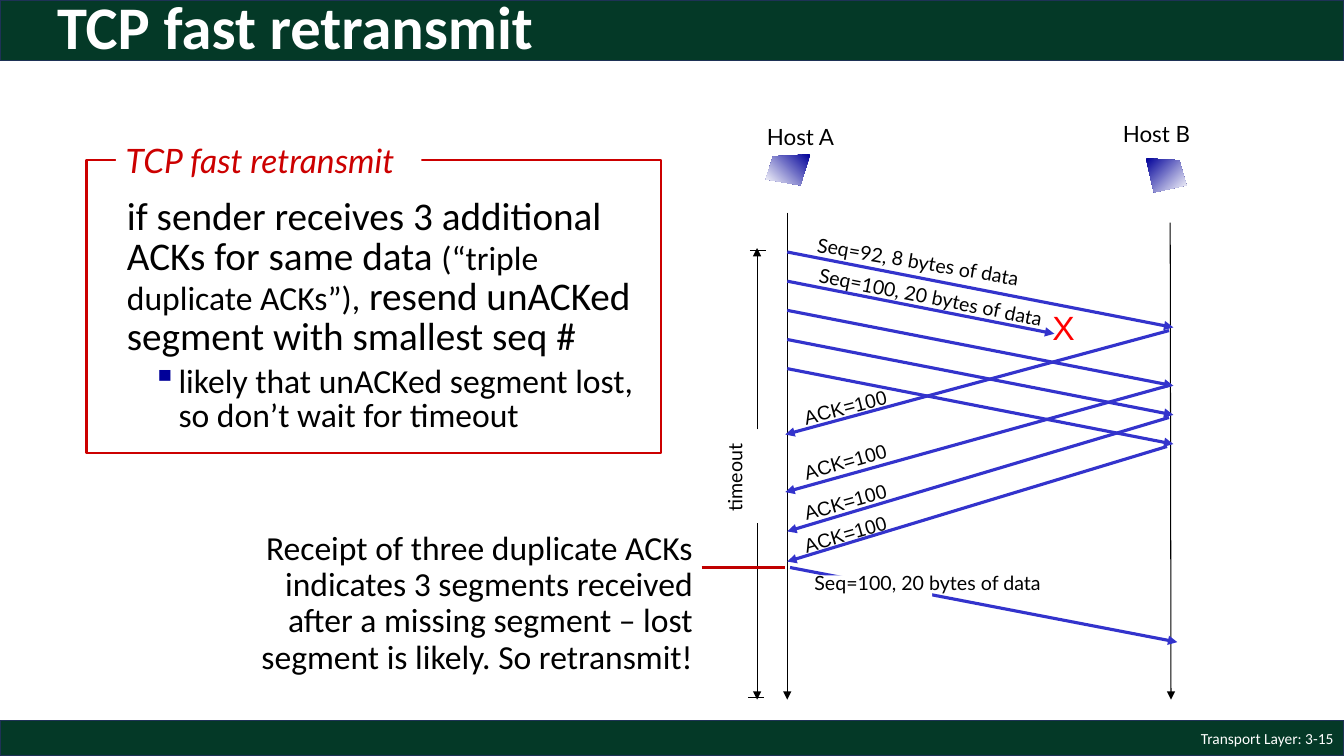
from dataclasses import dataclass, field
from typing import Optional

from lxml.etree import SubElement
from pptx import Presentation
from pptx.dml.color import RGBColor
from pptx.enum.shapes import MSO_CONNECTOR, MSO_SHAPE
from pptx.enum.text import MSO_ANCHOR, PP_ALIGN
from pptx.oxml.ns import qn
from pptx.util import Cm, Pt

COLORS = {
    "green": "043927", "navy": "1E3256", "white": "FFFFFF", "black": "000000",
    "arrow": "3333CC", "host": "000099", "lost": "FF0000",
    "frame": "CC0000", "pointer": "C00000",
}
HOST_A, HOST_B = 19.84, 29.57
AXIS_END = 17.63
TIMEOUT_X = 19.08


@dataclass
class Block:
    box: tuple
    fill: Optional[str] = None
    line: Optional[str] = None
    width: float = 1


@dataclass
class Line:
    start: tuple
    end: tuple
    color: str = "black"
    width: float = 0.75
    arrow: bool = True


@dataclass
class Label:
    text: str
    box: tuple
    color: str = "black"
    rotation: float = 0
    align: PP_ALIGN = PP_ALIGN.CENTER
    anchor: MSO_ANCHOR = MSO_ANCHOR.TOP
    spacing: float = 1
    font: dict = field(default_factory=dict)


@dataclass
class Host:
    corners: tuple
    angle: float


def rgb(name: str) -> RGBColor:
    return RGBColor.from_string(COLORS[name])


def style(font, color: str, values: dict) -> None:
    for key, value in values.items():
        setattr(font, key, value)
    font.color.rgb = rgb(color)


def draw_block(s, block: Block):
    sp = s.shapes.add_shape(MSO_SHAPE.RECTANGLE, *map(Cm, block.box))
    sp.shadow.inherit = False
    if block.fill:
        sp.fill.solid()
        sp.fill.fore_color.rgb = rgb(block.fill)
    else:
        sp.fill.background()
    if block.line:
        sp.line.color.rgb = rgb(block.line)
        sp.line.width = Pt(block.width)
    else:
        sp.line.fill.background()
    return sp


def draw_line(s, line: Line) -> None:
    cn = s.shapes.add_connector(
        MSO_CONNECTOR.STRAIGHT, *map(Cm, line.start + line.end))
    cn.line.color.rgb = rgb(line.color)
    cn.line.width = Pt(line.width)
    if line.arrow:
        SubElement(cn.line._get_or_add_ln(), qn("a:tailEnd"), type="triangle")
    SubElement(cn._element.spPr, qn("a:effectLst"))


def draw_label(s, label: Label) -> None:
    tb = s.shapes.add_textbox(*map(Cm, label.box))
    tb.rotation = label.rotation
    tf = tb.text_frame
    tf.word_wrap = True
    tf.vertical_anchor = label.anchor
    p = tf.paragraphs[0]
    p.alignment = label.align
    p.line_spacing = label.spacing
    r = p.add_run()
    r.text = label.text
    style(r.font, label.color, {"name": "Lato", "size": Pt(14)} | label.font)


def draw_host(s, host: Host) -> None:
    points = [(Cm(x), Cm(y)) for x, y in host.corners]
    builder = s.shapes.build_freeform(*points[0])
    builder.add_line_segments(points[1:], close=True)
    sp = builder.convert_to_shape()
    sp.shadow.inherit = False
    sp.line.fill.background()
    sp.fill.gradient()
    sp.fill.gradient_angle = host.angle
    for stop, color, position in zip(
            sp.fill.gradient_stops, ("host", "white"), (0, 1)):
        stop.color.rgb = rgb(color)
        stop.position = position


def draw_rule(s) -> None:
    sp = draw_block(s, Block((2.95, 4.88, 13.36, 6.3), "white"))
    tf = sp.text_frame
    tf.word_wrap = True
    tf.vertical_anchor = MSO_ANCHOR.TOP
    paragraphs = (
        (("if sender receives 3 additional ACKs for same data ", 28),
         ("(“triple duplicate ACKs”),", 24),
         (" resend unACKed segment with smallest seq #", 28)),
        (("likely that unACKed segment lost, so don’t wait for timeout", 24),),
    )
    for level, runs in enumerate(paragraphs):
        p = tf.add_paragraph() if level else tf.paragraphs[0]
        p.alignment = PP_ALIGN.LEFT
        p.line_spacing = 0.85
        if level:
            p.level = level
            p.space_before = Pt(5)
            pPr = p._p.get_or_add_pPr()
            pPr.set("marL", str(Cm(1.3)))
            pPr.set("indent", str(Cm(-0.66)))
            color = SubElement(pPr, qn("a:buClr"))
            SubElement(color, qn("a:srgbClr"), val=COLORS["host"])
            SubElement(pPr, qn("a:buChar"), char="▪")
        for text, size in runs:
            r = p.add_run()
            r.text = text
            style(r.font, "black", {"name": "Calibri", "size": Pt(size)})


def main() -> None:
    prs = Presentation()
    prs.slide_width, prs.slide_height = Cm(33.87), Cm(19.05)
    s = prs.slides.add_slide(prs.slide_layouts[6])

    seq = [(6.35 + 0.735 * i, HOST_B, 8.25 + 0.735 * i) for i in range(5)]
    seq[1] = (seq[1][0], 26.57, 8.41)
    acks = ((29.46, 8.33, 19.79, 10.95), (29.51, 9.7, 19.79, 12.4),
            (29.46, 10.52, HOST_A, 13.39), (29.41, 11.25, HOST_A, 14.15))
    ack_labels = ((9.83, -14.4), (11.2, -16.1), (12.22, -15.7), (13.03, -16.2))
    arial = {"name": "Arial"}
    calibri = {"name": "Calibri"}

    items = [
        Block((0, 0, 33.87, 1.52), "green", "navy"),
        Block((0, 18.16, 33.87, 0.89), "green", "navy"),
        Label("Transport Layer: 3-15", (26.24, 18.16, 7.62, 0.89), "white",
              align=PP_ALIGN.RIGHT, anchor=MSO_ANCHOR.MIDDLE,
              font=calibri | {"size": Pt(11)}),
        Line((HOST_A, 5.36), (HOST_A, AXIS_END)),
        Line((29.49, 5.61), (29.51, AXIS_END)),
        Label("Host B", (27.66, 2.9, 2.97, 1.09), font={"size": Pt(16)}),
        Label("Host A", (18.69, 2.97, 2.97, 1.09), font={"size": Pt(16)}),
        Label("timeout", (17.55, 11.27, 2.6, 1.52), rotation=270),
        Line((TIMEOUT_X, 10.82), (TIMEOUT_X, 6.25)),
        Line((18.9, 6.3), (19.3, 6.3), arrow=False),
        Line((TIMEOUT_X, 13.18), (TIMEOUT_X, AXIS_END)),
        Line((19.25, 17.58), (18.85, 17.58), arrow=False),
        *(Line((x1, y1), (x2, y2), "arrow", 2.25) for x1, y1, x2, y2 in acks),
        *(Label("ACK=100", (19.49, y, 3.66, 0.99), rotation=angle, font=arial)
          for y, angle in ack_labels),
        Block((20.65, 7.11, 2.92, 0.74), "white"),
        *(Line((HOST_A, y1), (x2, y2), "arrow", 2.25) for y1, x2, y2 in seq),
        Label("X", (26.26, 7.62, 1.09, 1.47), "lost",
              font=arial | {"size": Pt(24)}),
        Label("Seq=92, 8 bytes of data", (20.19, 6.17, 5.89, 0.86),
              rotation=9.7),
        Label("Seq=100, 20 bytes of data", (20.24, 7.06, 6.43, 0.86),
              rotation=11.1),
        Line((19.91, 14.3), (29.67, 16.18), "arrow", 2.25),
        Block((20.57, 14.5, 2.92, 0.74), "white"),
        Label("Seq=100, 20 bytes of data", (19, 14.25, 8.76, 0.99)),
        Host(((20.42, 3.89), (19.48, 3.94), (19.3, 4.52), (20.17, 4.67)), 225),
        Host(((28.88, 3.99), (29.72, 4.04), (29.9, 4.67), (29.08, 4.85)), 315),
        Label("Receipt of three duplicate ACKs indicates 3 segments received "
              "after a missing segment – lost segment is likely. "
              "So retransmit!", (6.2, 13.26, 11.51, 3.96),
              align=PP_ALIGN.RIGHT, spacing=0.9,
              font=calibri | {"size": Pt(24)}),
        Line((17.68, 14.3), (19.79, 14.3), "pointer", 1.75, False),
    ]
    frame = [
        Block((2.18, 4.04, 14.48, 7.37), line="frame", width=1.5),
        Block((2.92, 3.4, 7.7, 1.27), "white"),
        Label("TCP fast retransmit", (2.92, 3.4, 7.7, 1.27), "frame",
              align=PP_ALIGN.LEFT, font={"size": Pt(24), "italic": True}),
        Label("TCP fast retransmit", (1.19, 0, 29.21, 1.52), "white",
              align=PP_ALIGN.LEFT, anchor=MSO_ANCHOR.MIDDLE, spacing=0.9,
              font=calibri | {"size": Pt(43.2), "bold": True}),
    ]
    draw = {Block: draw_block, Line: draw_line,
            Label: draw_label, Host: draw_host}
    for item in items:
        draw[type(item)](s, item)
    draw_rule(s)
    for item in frame:
        draw[type(item)](s, item)
    prs.save("out.pptx")


if __name__ == "__main__":
    main()
